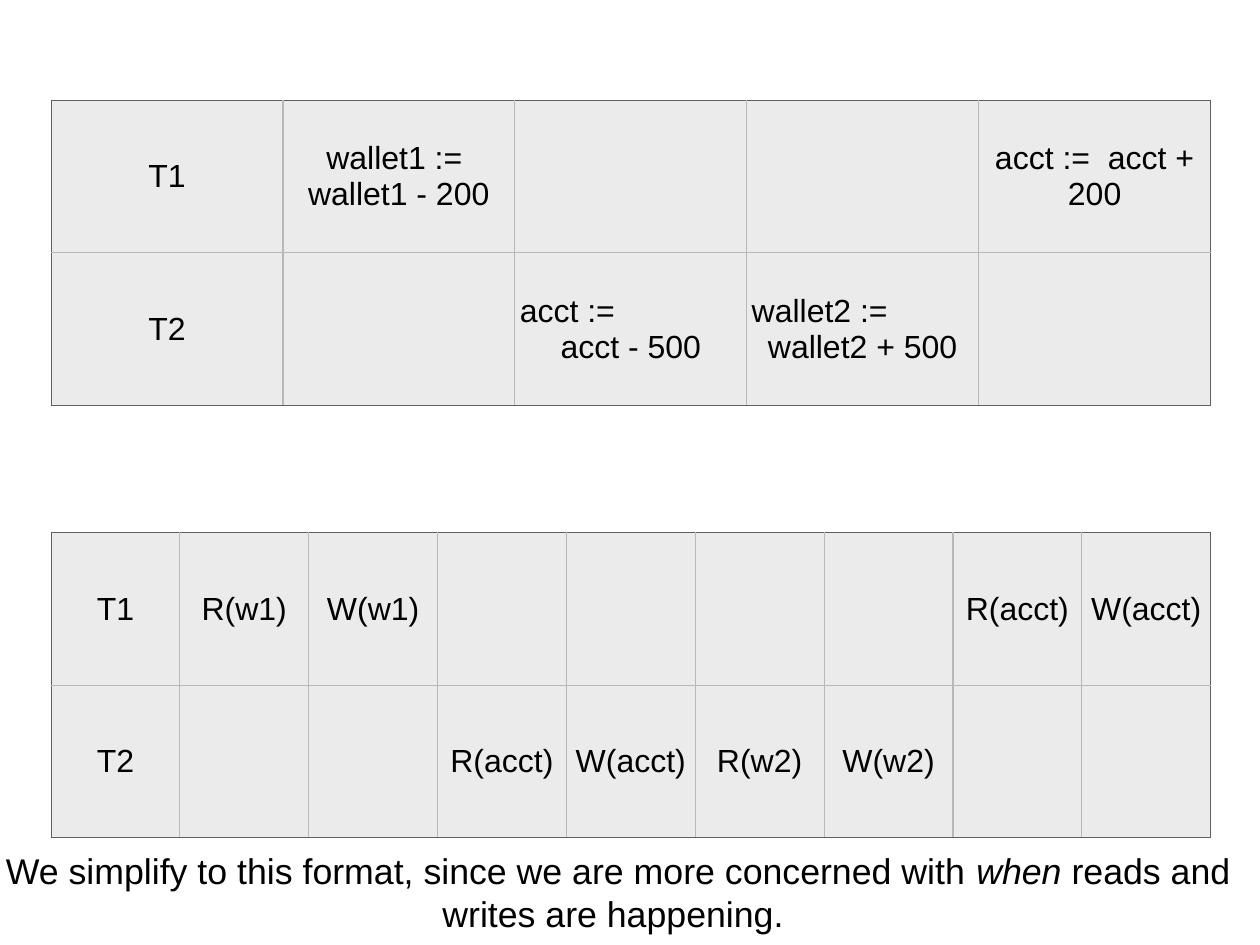
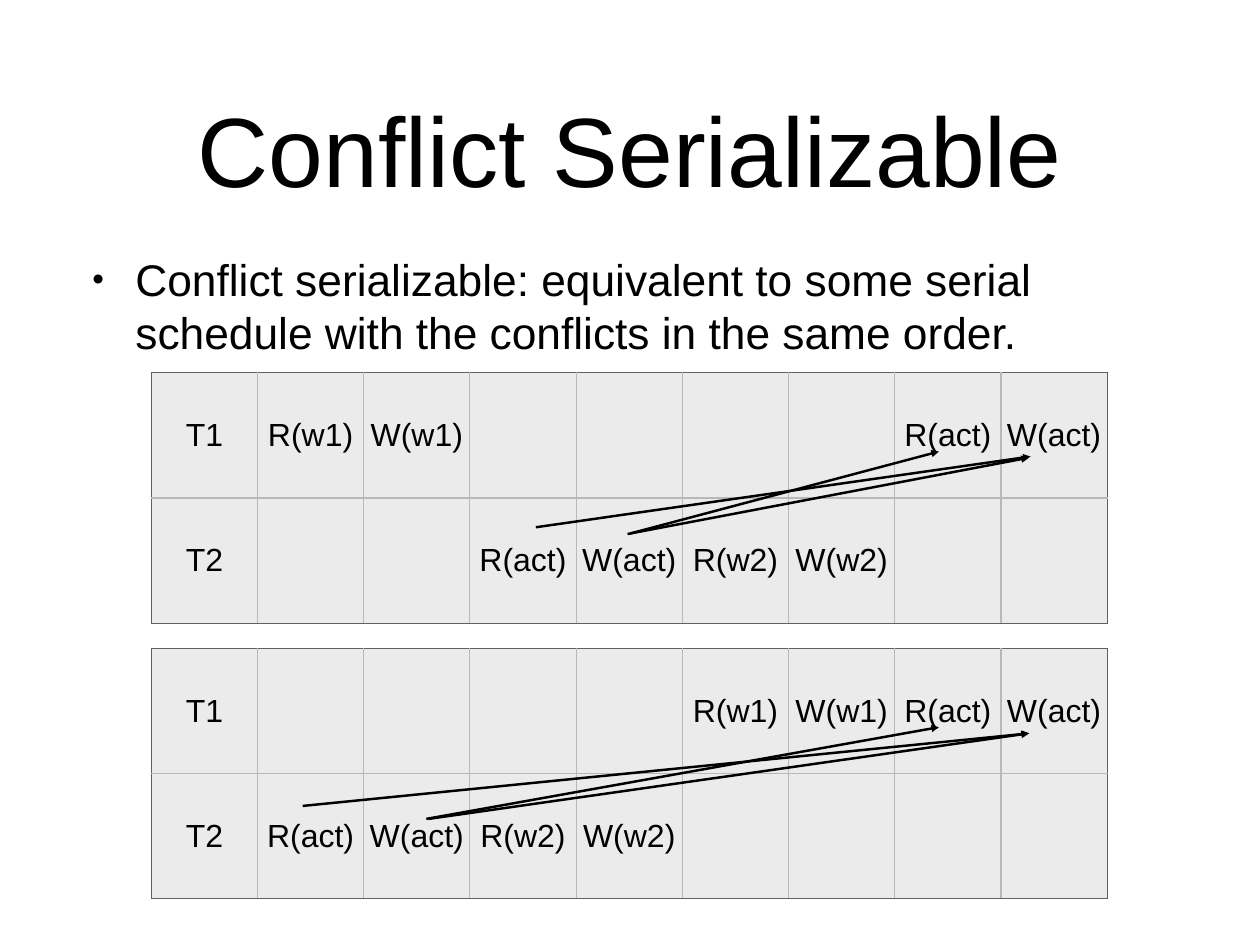
from dataclasses import dataclass

from pptx import Presentation
from pptx.dml.color import RGBColor
from pptx.enum.shapes import MSO_CONNECTOR
from pptx.enum.text import MSO_ANCHOR, MSO_AUTO_SIZE, PP_ALIGN
from pptx.oxml.ns import qn
from pptx.util import Pt
from lxml.etree import SubElement


@dataclass(frozen=True)
class Theme:
    font: str = "Arial"
    ink: str = "000000"
    cell_fill: str = "EBEBEB"
    grid: str = "B8B8B8"
    frame: str = "606060"
    title_size: float = 80
    body_size: float = 36
    caption_size: float = 29
    cell_size: float = 26
    cell_inset: float = 4
    border: float = 1
    arrow: float = 2


THEME = Theme()


def add_run(paragraph, text, size, italic=False):
    run = paragraph.add_run()
    run.text = text
    run.font.name = THEME.font
    run.font.size = Pt(size)
    run.font.italic = italic
    run.font.color.rgb = RGBColor.from_string(THEME.ink)


def place(shape, left, top, width, height):
    shape.left, shape.top = Pt(left), Pt(top)
    shape.width, shape.height = Pt(width), Pt(height)


def prepare_frame(frame, anchor, left=0, top=0, right=0, bottom=0):
    frame.word_wrap = True
    frame.auto_size = MSO_AUTO_SIZE.NONE
    frame.vertical_anchor = anchor
    frame.margin_left, frame.margin_right = Pt(left), Pt(right)
    frame.margin_top, frame.margin_bottom = Pt(top), Pt(bottom)


def set_title(slide, text):
    title = slide.shapes.title
    place(title, 75, 35, 874, 170)
    prepare_frame(title.text_frame, MSO_ANCHOR.MIDDLE)
    paragraph = title.text_frame.paragraphs[0]
    paragraph.alignment = PP_ALIGN.CENTER
    add_run(paragraph, text, THEME.title_size)


def set_bullet(slide, text):
    body = slide.placeholders[1]
    place(body, 75, 205, 874, 131)
    prepare_frame(body.text_frame, MSO_ANCHOR.TOP)
    paragraph = body.text_frame.paragraphs[0]
    paragraph.space_before = Pt(42)
    properties = paragraph._p.get_or_add_pPr()
    properties.set("marL", str(Pt(35)))
    properties.set("indent", str(Pt(-35)))
    SubElement(properties, qn("a:buSzPct"), val="75000")
    SubElement(properties, qn("a:buChar"), char="•")
    add_run(paragraph, text, THEME.body_size)


def set_borders(cell, colors):
    """Draw the cell's sides; colors maps L, R, T and B to a colour."""
    properties = cell._tc.get_or_add_tcPr()
    for position, side in enumerate("LRTB"):
        line = SubElement(properties, qn(f"a:ln{side}"), w=str(Pt(THEME.border)))
        fill = SubElement(line, qn("a:solidFill"))
        SubElement(fill, qn("a:srgbClr"), val=colors[side])
        properties.insert(position, line)


def fill_cell(cell, text):
    """Centre the text; of two lines, the first starts at the left edge."""
    cell.fill.solid()
    cell.fill.fore_color.rgb = RGBColor.from_string(THEME.cell_fill)
    cell.vertical_anchor = MSO_ANCHOR.MIDDLE
    inset = Pt(THEME.cell_inset)
    cell.margin_left = cell.margin_right = inset
    cell.margin_top = cell.margin_bottom = inset
    frame = cell.text_frame
    *opening_lines, last_line = text.split("\n")
    for line in opening_lines:
        paragraph = frame.paragraphs[-1]
        paragraph.alignment = PP_ALIGN.LEFT
        add_run(paragraph, line, THEME.cell_size)
        frame.add_paragraph()
    if last_line:
        paragraph = frame.paragraphs[-1]
        paragraph.alignment = PP_ALIGN.CENTER
        add_run(paragraph, last_line, THEME.cell_size)


def add_schedule(slide, left, top, width, height, steps):
    """Add a table with one row per transaction and one column per step."""
    row_count, column_count = len(steps), len(steps[0])
    table = slide.shapes.add_table(
        row_count, column_count, Pt(left), Pt(top), Pt(width), Pt(height)
    ).table
    table.first_row = table.horz_banding = False
    for column in table.columns:
        column.width = Pt(width / column_count)
    for row in table.rows:
        row.height = Pt(height / row_count)
    for r, row_steps in enumerate(steps):
        for c, step in enumerate(row_steps):
            cell = table.cell(r, c)
            fill_cell(cell, step)
            outer = {"L": c == 0, "R": c == column_count - 1,
                     "T": r == 0, "B": r == row_count - 1}
            set_borders(cell, {side: THEME.frame if is_outer else THEME.grid
                               for side, is_outer in outer.items()})


def add_conflicts(slide, arrows):
    """Add a group of arrows, each given as (x1, y1, x2, y2)."""
    group = slide.shapes.add_group_shape()
    for ends in arrows:
        arrow = group.shapes.add_connector(
            MSO_CONNECTOR.STRAIGHT, *(Pt(value) for value in ends))
        arrow.line.color.rgb = RGBColor.from_string(THEME.ink)
        arrow.line.width = Pt(THEME.arrow)
        SubElement(arrow.line._get_or_add_ln(), qn("a:tailEnd"), type="triangle")
        SubElement(arrow._element.spPr, qn("a:effectLst"))


def add_caption(slide, runs):
    caption = slide.shapes.add_textbox(Pt(1.4), Pt(686), Pt(1020), Pt(78))
    prepare_frame(caption.text_frame, MSO_ANCHOR.MIDDLE,
                  top=4, right=18, bottom=4)
    paragraph = caption.text_frame.paragraphs[0]
    paragraph.alignment = PP_ALIGN.CENTER
    for text, italic in runs:
        add_run(paragraph, text, THEME.caption_size, italic)


def build_format_slide(deck):
    slide = deck.slides.add_slide(deck.slide_layouts[6])
    add_schedule(slide, 41.5, 81.5, 942.5, 248, [
        ["T1", "wallet1 :=  wallet1 - 200", "", "", "acct :=  acct + 200"],
        ["T2", "", "acct :=\nacct - 500", "wallet2 := \nwallet2 + 500", ""],
    ])
    add_schedule(slide, 41.5, 433, 942.5, 248, [
        ["T1", "R(w1)", "W(w1)", "", "", "", "", "R(acct)", "W(acct)"],
        ["T2", "", "", "R(acct)", "W(acct)", "R(w2)", "W(w2)", "", ""],
    ])
    add_caption(slide, [
        ("We simplify to this format, since we are more concerned with ", False),
        ("when", True),
        (" reads and writes are happening. ", False),
    ])


def build_conflict_slide(deck):
    slide = deck.slides.add_slide(deck.slide_layouts[1])
    set_title(slide, "Conflict Serializable")
    set_bullet(slide, "Conflict serializable: equivalent to some serial "
                      "schedule with the conflicts in the same order.")
    add_schedule(slide, 123, 303, 777, 203.5, [
        ["T1", "R(w1)", "W(w1)", "", "", "", "", "R(act)", "W(act)"],
        ["T2", "", "", "R(act)", "W(act)", "R(w2)", "W(w2)", "", ""],
    ])
    add_conflicts(slide, [
        (435.5, 428.5, 837.5, 371),
        (510, 434, 836, 372),
        (512.5, 433.5, 763, 367),
    ])
    add_schedule(slide, 123, 527, 777, 203.5, [
        ["T1", "", "", "", "", "R(w1)", "W(w1)", "R(act)", "W(act)"],
        ["T2", "R(act)", "W(act)", "R(w2)", "W(w2)", "", "", "", ""],
    ])
    add_conflicts(slide, [
        (246, 655, 836.5, 596),
        (348.5, 665.5, 836, 596),
        (346.5, 665.5, 763, 591),
    ])


def main():
    deck = Presentation()
    deck.slide_width, deck.slide_height = Pt(1024), Pt(768)
    build_format_slide(deck)
    build_conflict_slide(deck)
    deck.save("out.pptx")


if __name__ == "__main__":
    main()
